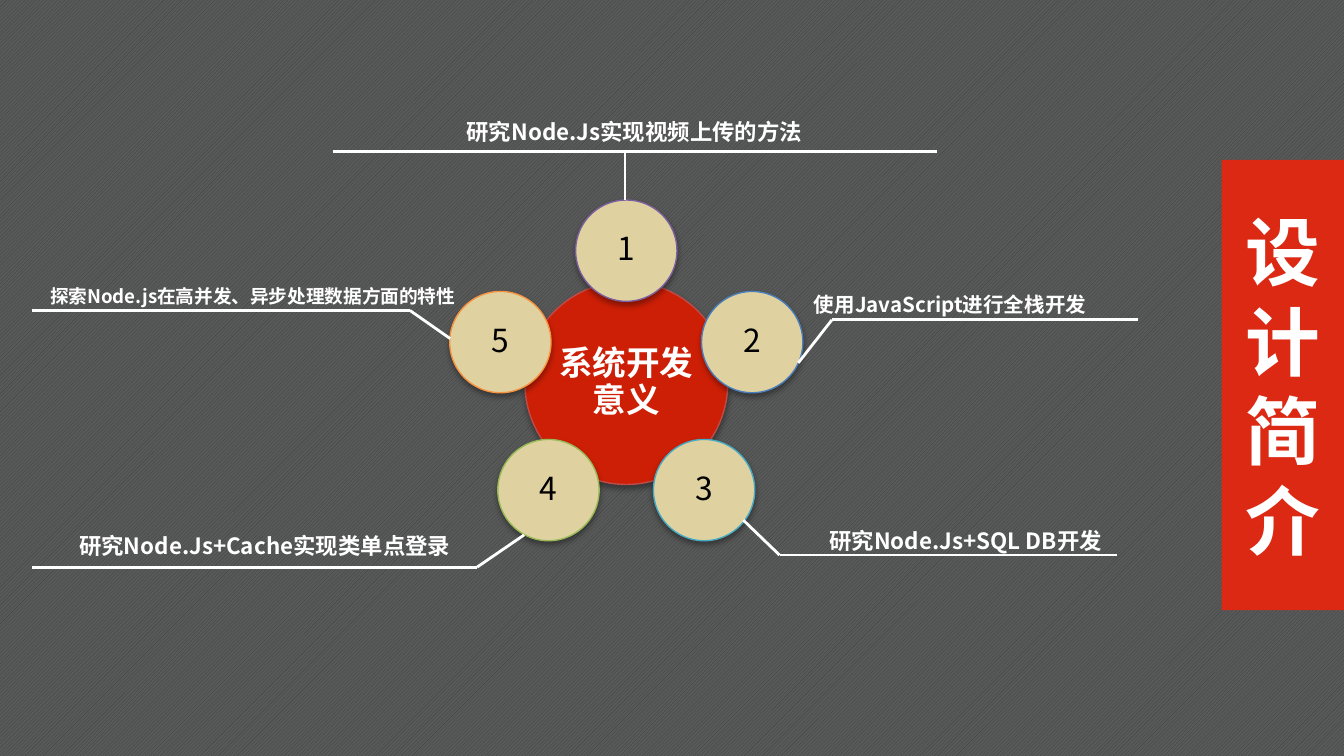
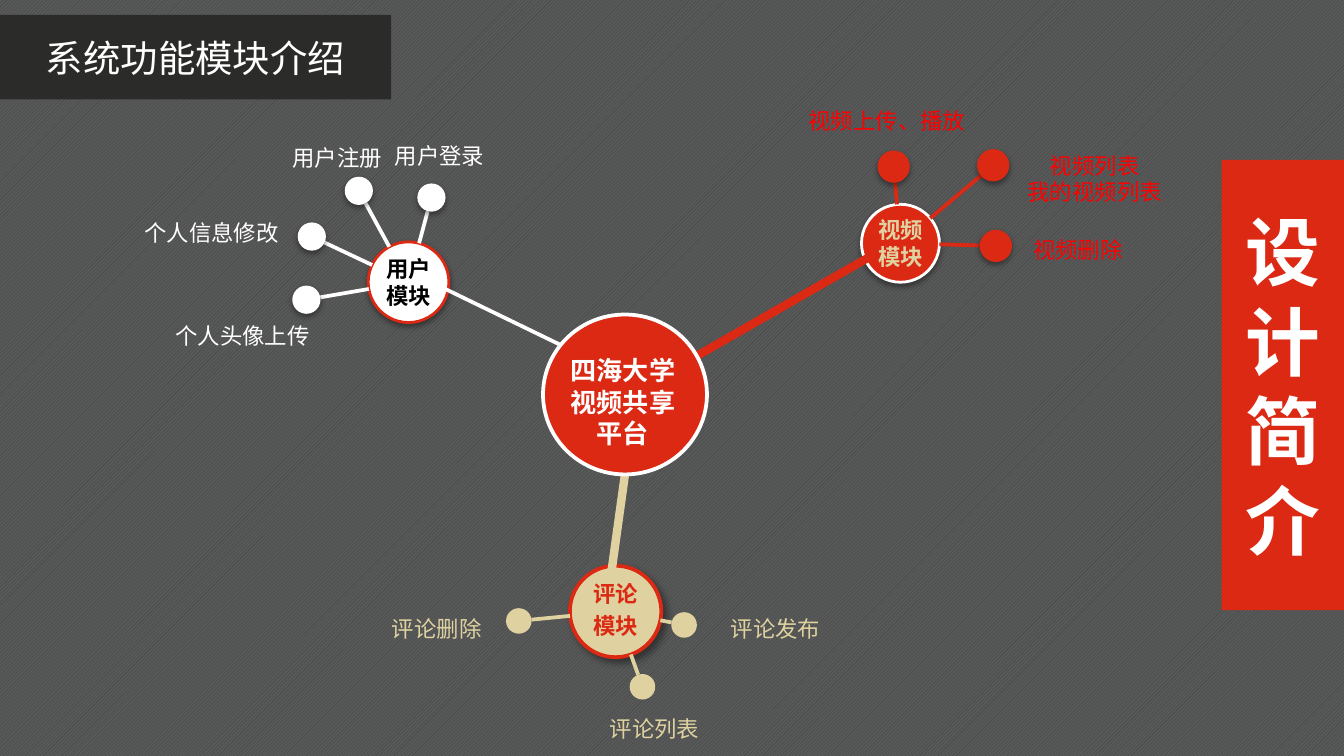
import math

import pptx
import pptx.util
from lxml import etree
from pptx.dml.color import RGBColor
from pptx.enum.dml import MSO_PATTERN
from pptx.enum.shapes import MSO_CONNECTOR, MSO_SHAPE
from pptx.enum.text import MSO_ANCHOR, MSO_AUTO_SIZE, PP_ALIGN
from pptx.oxml.ns import qn
from pptx.util import Inches

WHITE = RGBColor(0xFF, 0xFF, 0xFF)
BLACK = RGBColor(0, 0, 0)
RED = RGBColor(0xDB, 0x29, 0x14)
DEEP_RED = RGBColor(0xCD, 0x1F, 0x06)
DEEP_RED_EDGE = RGBColor(0xBF, 0x4C, 0x48)
LABEL_RED = RGBColor(0xFF, 0, 0)
SAND = RGBColor(0xDF, 0xD2, 0xA0)
CHARCOAL = RGBColor(0x2B, 0x2B, 0x29)
RING_COLORS = [RGBColor(0x7D, 0x60, 0xA0), RGBColor(0x4B, 0x7E, 0xBC), RGBColor(0x46, 0xAA, 0xC5),
               RGBColor(0x98, 0xB9, 0x55), RGBColor(0xF6, 0x92, 0x40)]
FONT = "Noto Sans CJK SC"
PANEL = (9.09, 1.19, 0.91, 3.35)
PANEL_TEXT = "设计简介"
# Shadows: opacity %, blur pt, distance pt, angle
RING_SHADOW = (35, 3.1, 1.8, 90)
NODE_SHADOW = (38, 3.1, 1.6, 90)
CORNER_SHADOW = (40, 4, 3, 45)


def draw(s, kind, box, fill=None, line=None, width=1.5, shadow=None):
    """Draw a preset shape, the title, or a line whose box is x1, y1, x2, y2."""
    place = [Inches(v) for v in box]
    if kind == "line":
        sp = s.shapes.add_connector(MSO_CONNECTOR.STRAIGHT, *place)
    elif kind == "title":
        sp = s.shapes.title
        sp.left, sp.top, sp.width, sp.height = place
    else:
        sp = s.shapes.add_shape(kind, *place)
    if fill is not None:
        sp.fill.solid()
        sp.fill.fore_color.rgb = fill
    if line is None:
        sp.line.fill.background()
    else:
        sp.line.color.rgb = line
        sp.line.width = pptx.util.Pt(width)
    effects = etree.SubElement(sp._element.spPr, qn("a:effectLst"))
    if shadow:
        alpha, blur, dist, angle = shadow
        outer = etree.SubElement(effects, qn("a:outerShdw"), blurRad=str(pptx.util.Pt(blur)),
                                 dist=str(pptx.util.Pt(dist)), dir=str(angle * 60000),
                                 rotWithShape="0")
        color = etree.SubElement(outer, qn("a:srgbClr"), val="000000")
        etree.SubElement(color, qn("a:alpha"), val=str(alpha * 1000))
    return sp


def write(sp, text, size=12, color=WHITE, bold=False, font=FONT, anchor=MSO_ANCHOR.MIDDLE,
          inset=(0.1, 0.05), spacing=1.0, after=0, wrap=True):
    tf = sp.text_frame
    tf.auto_size = MSO_AUTO_SIZE.NONE
    tf.word_wrap = wrap
    tf.vertical_anchor = anchor
    tf.margin_left = tf.margin_right = Inches(inset[0])
    tf.margin_top = tf.margin_bottom = Inches(inset[1])
    for i, part in enumerate(text.split("\n")):
        p = tf.add_paragraph() if i else tf.paragraphs[0]
        p.alignment = PP_ALIGN.CENTER
        p.line_spacing = spacing
        p.space_after = pptx.util.Pt(after)
        r = p.add_run()
        r.text = part
        r.font.size = pptx.util.Pt(size)
        r.font.bold = bold
        r.font.color.rgb = color
        r.font.name = font
        etree.SubElement(r._r.get_or_add_rPr(), qn("a:ea"), typeface=FONT)


prs = pptx.Presentation()
prs.slide_width = Inches(10)
prs.slide_height = prs.slide_width * 9 // 16

# Shared hatched background
bg = prs.slide_master.background.fill
bg.patterned()
bg.pattern = MSO_PATTERN.DARK_UPWARD_DIAGONAL
bg.fore_color.rgb = RGBColor(0x38, 0x43, 0x40)
bg.back_color.rgb = RGBColor(0x59, 0x59, 0x59)
title_only = prs.slide_layouts[5]

# Slide 1: purpose of the system
s = prs.slides.add_slide(title_only)
write(draw(s, "title", PANEL, fill=RED), PANEL_TEXT, size=40, bold=True)

# Core and five numbered circles around it
cx, cy, core_r, orbit, ring_r = 4.66, 2.85, 0.755, 0.985, 0.377
core = draw(s, MSO_SHAPE.OVAL, (cx - core_r, cy - core_r, 2 * core_r, 2 * core_r),
            DEEP_RED, DEEP_RED_EDGE, 0.75, RING_SHADOW)
write(core, "系统开发意义", size=18, bold=True, inset=(0, 0), spacing=0.9)
for i, edge in enumerate(RING_COLORS):
    angle = math.radians(72 * i)
    x, y = cx + orbit * math.sin(angle), cy - orbit * math.cos(angle)
    ring = draw(s, MSO_SHAPE.OVAL, (x - ring_r, y - ring_r, 2 * ring_r, 2 * ring_r),
                SAND, edge, 0.75, RING_SHADOW)
    write(ring, str(i + 1), size=17, color=BLACK, inset=(0, 0), spacing=0.9)

# Leader lines: circle, bend, far end
for points in [
    [(3.9, 3.98), (3.55, 4.22), (0.24, 4.22)],
    [(5.94, 2.7), (6.19, 2.38), (8.47, 2.38)],
    [(5.53, 3.87), (5.8, 4.13), (8.31, 4.13)],
    [(3.35, 2.52), (3.05, 2.31), (0.24, 2.31)],
    [(2.48, 1.13), (6.97, 1.13)],
    [(4.65, 1.49), (4.65, 1.13)],
]:
    for start, end in zip(points, points[1:]):
        draw(s, "line", start + end, line=WHITE)

# Labels on the leader lines
for text, size, box, inset in [
    ("研究Node.Js实现视频上传的方法", 12, (2.47, 0.77, 4.5, 0.34), (0.1, 0.05)),
    ("使用JavaScript进行全栈开发", 11, (5.5, 2.08, 3.14, 0.29), (0.07, 0.04)),
    ("研究Node.Js+SQL DB开发", 12, (5.47, 3.82, 3.43, 0.31), (0.07, 0.04)),
    ("研究Node.Js+Cache实现类单点登录", 12, (0.42, 3.86, 3.1, 0.31), (0.07, 0.04)),
    ("探索Node.js在高并发、异步处理数据方面的特性 ", 10, (0.23, 2.03, 3.33, 0.27), (0.07, 0.04)),
]:
    label = s.shapes.add_textbox(*[Inches(v) for v in box])
    write(label, text, size=size, bold=True, anchor=MSO_ANCHOR.TOP, inset=inset, spacing=1.3)

# Slide 2: function modules
s = prs.slides.add_slide(title_only)
write(draw(s, "title", (0, 0.11, 2.91, 0.63), fill=CHARCOAL), "系统功能模块介绍", size=20)
write(draw(s, MSO_SHAPE.RECTANGLE, PANEL, fill=RED), PANEL_TEXT, size=40, bold=True)

# Modules: name, centre, radius, fill, edge, edge width, text colour, line spacing, space after,
# shadow, dot radius, dot shadow, label colour, dots (centre, label, label box)
modules = [
    ("用户模块", 3.04, 2.1, 0.3, WHITE, RED, 1.5, BLACK, 1.0, 0, NODE_SHADOW, 0.105, NODE_SHADOW, WHITE, [
        (2.67, 1.42, "用户注册", (2.07, 1.02, 0.88, 0.3)),
        (3.21, 1.47, "用户登录", (2.83, 1.01, 0.88, 0.3)),
        (2.28, 2.23, "个人头像上传", (1.2, 2.35, 1.21, 0.3)),
        (2.32, 1.76, "个人信息修改", (0.97, 1.58, 1.21, 0.3))]),
    ("评论\n模块", 4.58, 4.55, 0.34, SAND, RED, 2, RED, 0.9, 4, CORNER_SHADOW, 0.095, None, SAND, [
        (5.09, 4.65, "评论发布", (5.33, 4.53, 0.88, 0.3)),
        (4.78, 5.11, "评论列表", (4.43, 5.27, 0.88, 0.3)),
        (3.86, 4.62, "评论删除", (2.81, 4.53, 0.88, 0.3))]),
    ("视频模块", 6.7, 1.81, 0.29, RED, WHITE, 1.5, SAND, 1.0, 0, NODE_SHADOW, 0.12, NODE_SHADOW, LABEL_RED, [
        (7.39, 1.23, "视频列表\n我的视频列表", (7.54, 1.08, 1.21, 0.5)),
        (7.41, 1.83, "视频删除", (7.58, 1.71, 0.88, 0.3)),
        (6.65, 1.24, "视频上传、播放", (5.91, 0.75, 1.38, 0.3))]),
]
for (name, cx, cy, radius, fill, edge, edge_width, color, spacing, after, shadow,
     dot_r, dot_shadow, label_color, dots) in modules:
    node = draw(s, MSO_SHAPE.OVAL, (cx - radius, cy - radius, 2 * radius, 2 * radius),
                fill, edge, edge_width, shadow)
    write(node, name, color=color, bold=True, font="Calibri", inset=(0, 0),
          spacing=spacing, after=after)
    for x, y, text, box in dots:
        # Spoke from the module's edge to the dot's edge
        length = math.hypot(x - cx, y - cy)
        ux, uy = (x - cx) / length, (y - cy) / length
        draw(s, "line", (cx + radius * ux, cy + radius * uy, x - dot_r * ux, y - dot_r * uy),
             line=fill, width=2)
        draw(s, MSO_SHAPE.OVAL, (x - dot_r, y - dot_r, 2 * dot_r, 2 * dot_r),
             fill, shadow=dot_shadow)
        label = s.shapes.add_textbox(*[Inches(v) for v in box])
        write(label, text, color=label_color, anchor=MSO_ANCHOR.TOP, wrap=False)

# Links from the hub to the modules, then the hub
for box, color, width in [
    ((4.92, 2.8, 6.49, 1.9), RED, 4.5),
    ((4.65, 3.53, 4.55, 4.25), SAND, 4.5),
    ((3.21, 2.1, 4.24, 2.6), WHITE, 2),
]:
    draw(s, "line", box, line=color, width=width)
draw(s, MSO_SHAPE.OVAL, (4.04, 2.34, 1.22, 1.19), RED, WHITE, 2)
hub_text = s.shapes.add_textbox(Inches(4.14), Inches(2.59), Inches(0.99), Inches(0.81))
write(hub_text, "四海大学\n视频共享\n平台", size=14, bold=True, anchor=MSO_ANCHOR.TOP, wrap=False)

prs.save("out.pptx")
